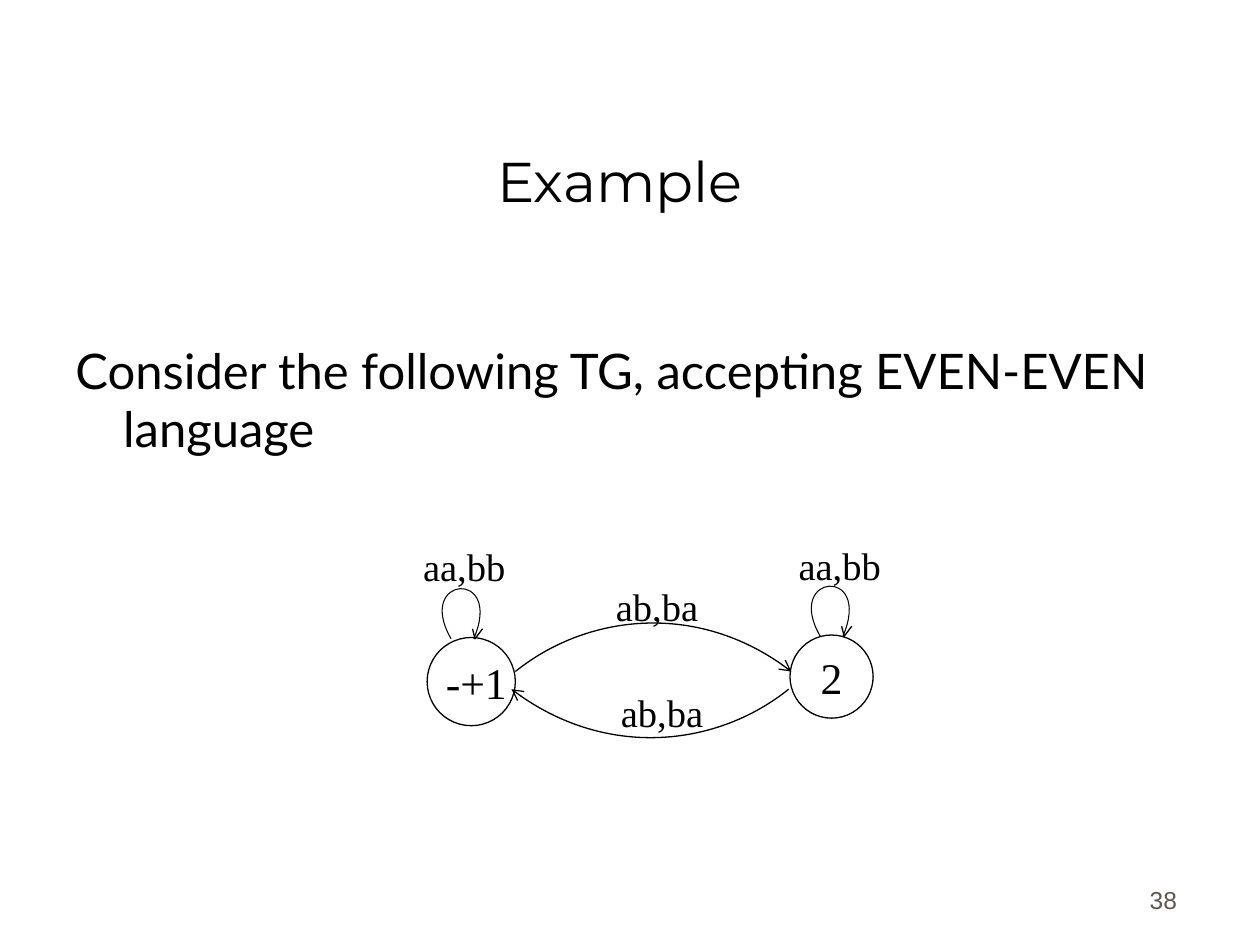
from lxml import etree
from pptx import Presentation, util as u
from pptx.dml.color import RGBColor
from pptx.enum import shapes as sh, text as tx
from pptx.oxml.ns import qn

COLS, ROWS = 100, 75  # square cells, a tenth of an inch
CELL = u.Inches(10) // COLS
INK, PAPER, GREY = "000000", "FFFFFF", "5E574E"
SERIF = "Times New Roman"


def cells(*nums):
    return [u.Emu(round(n * CELL)) for n in nums]


def color(code):
    return RGBColor.from_string(code)


def write(shape, words, font=SERIF, size=22, ink=INK, align="LEFT",
          anchor="TOP", wrap=True, hang=0, lead=1):
    """Fill a shape with one formatted paragraph."""
    frame = shape.text_frame
    frame.word_wrap = wrap
    frame.auto_size = tx.MSO_AUTO_SIZE.NONE
    frame.vertical_anchor = tx.MSO_ANCHOR[anchor]
    frame.margin_left, frame.margin_right = cells(lead, 1)
    frame.margin_top = frame.margin_bottom = cells(0.5)[0]
    para = frame.paragraphs[0]
    para.alignment = tx.PP_ALIGN[align]
    if hang:
        props = para._p.get_or_add_pPr()
        props.set("marL", str(cells(hang)[0]))
        props.set("indent", str(-cells(hang)[0]))
    run = para.add_run()
    run.text = words
    run.font.name, run.font.size = font, u.Pt(size)
    run.font.color.rgb = color(ink)


def label(slide, box, words, **look):
    write(slide.shapes.add_textbox(*cells(*box)), words, **look)


def outline(slide, points, width=0.75):
    """Draw an open line through the points."""
    first, *rest = [cells(*p) for p in points]
    pen = slide.shapes.build_freeform(*first)
    pen.add_line_segments(rest, close=False)
    shape = pen.convert_to_shape()
    shape.shadow.inherit = False
    shape.fill.background()
    shape.line.color.rgb = color(INK)
    shape.line.width = u.Pt(width)
    return shape


def curve(slide, points, width=0.75, arrow=False):
    """Draw a cubic curve: start, two controls, end."""
    shape = outline(slide, points, width)
    track = shape._element.find(".//" + qn("a:path"))
    bend = etree.SubElement(track, qn("a:cubicBezTo"))
    for step in track.findall(qn("a:lnTo")):
        bend.append(step[0])
        track.remove(step)
    if arrow:
        etree.SubElement(shape.line._get_or_add_ln(), qn("a:tailEnd"), type="arrow")


def shift(x, y, points):
    return [(x + dx, y + dy) for dx, dy in points]


def state(slide, x, y, size, words, lead=1):
    """Draw a state as a circle with its name."""
    ring = slide.shapes.add_shape(sh.MSO_SHAPE.OVAL, *cells(x, y, size, size))
    ring.shadow.inherit = False
    ring.fill.solid()
    ring.fill.fore_color.rgb = color(PAPER)
    ring.line.color.rgb = color(INK)
    ring.line.width = u.Pt(0.75)
    write(ring, words, size=25, align="CENTER", anchor="MIDDLE",
          wrap=False, lead=lead)


def loop(slide, x, y):
    """Draw a loop with its small arrowhead, starting at x, y."""
    curve(slide, shift(x, y, [(0, 0), (-2.9, -5), (4.2, -5.6), (1.8, 0)]), 0.6)
    outline(slide, shift(x, y, [(2.5, -0.8), (1.9, 0), (1.7, -0.8)]))


def graph(slide, x, y):
    """Place the transition graph with its top left corner at x, y."""
    state(slide, x + 1.3, y + 8.1, 7, "-+1", lead=1.8)
    state(slide, x + 30.1, y + 7.9, 6.6, "2")
    loop(slide, x + 3.2, y + 8.2)
    loop(slide, x + 32.5, y + 8)

    # Edges between the states
    there = [(8.3, 10.8), (13.9, 6.3), (23, 5.2), (30.2, 10.8)]
    back = [(30, 12.2), (24.4, 16.7), (15.3, 17.8), (8, 12.2)]
    for points in (there, back):
        curve(slide, shift(x, y, points), arrow=True)

    # Words on the edges
    for words, dx, dy in (("aa,bb", 0, 0.1), ("aa,bb", 29.8, 0),
                          ("ab,ba", 15.3, 3.3), ("ab,ba", 15.7, 11.7)):
        label(slide, (x + dx, y + dy, 9.8, 6.7), words)


def heading(slide, box, words):
    title = slide.shapes.title
    title.left, title.top, title.width, title.height = cells(*box)
    write(title, words, font="Montserrat", size=32, align="CENTER", anchor="BOTTOM")


def main():
    deck = Presentation()
    deck.slide_width, deck.slide_height = cells(COLS, ROWS)
    slide = deck.slides.add_slide(deck.slide_layouts[5])
    heading(slide, (6.7, 5, 85, 12.5), "Example")
    label(slide, (5, 26.5, 89.4, 12),
          "Consider the following TG, accepting EVEN-EVEN language",
          font="Lato", size=28, hang=3.8)
    graph(slide, 32.6, 42.5)
    label(slide, (73.6, 68.1, 20.8, 5), "38", font="Arial", size=14,
          ink=GREY, align="RIGHT", anchor="BOTTOM")
    deck.save("out.pptx")


if __name__ == "__main__":
    main()
